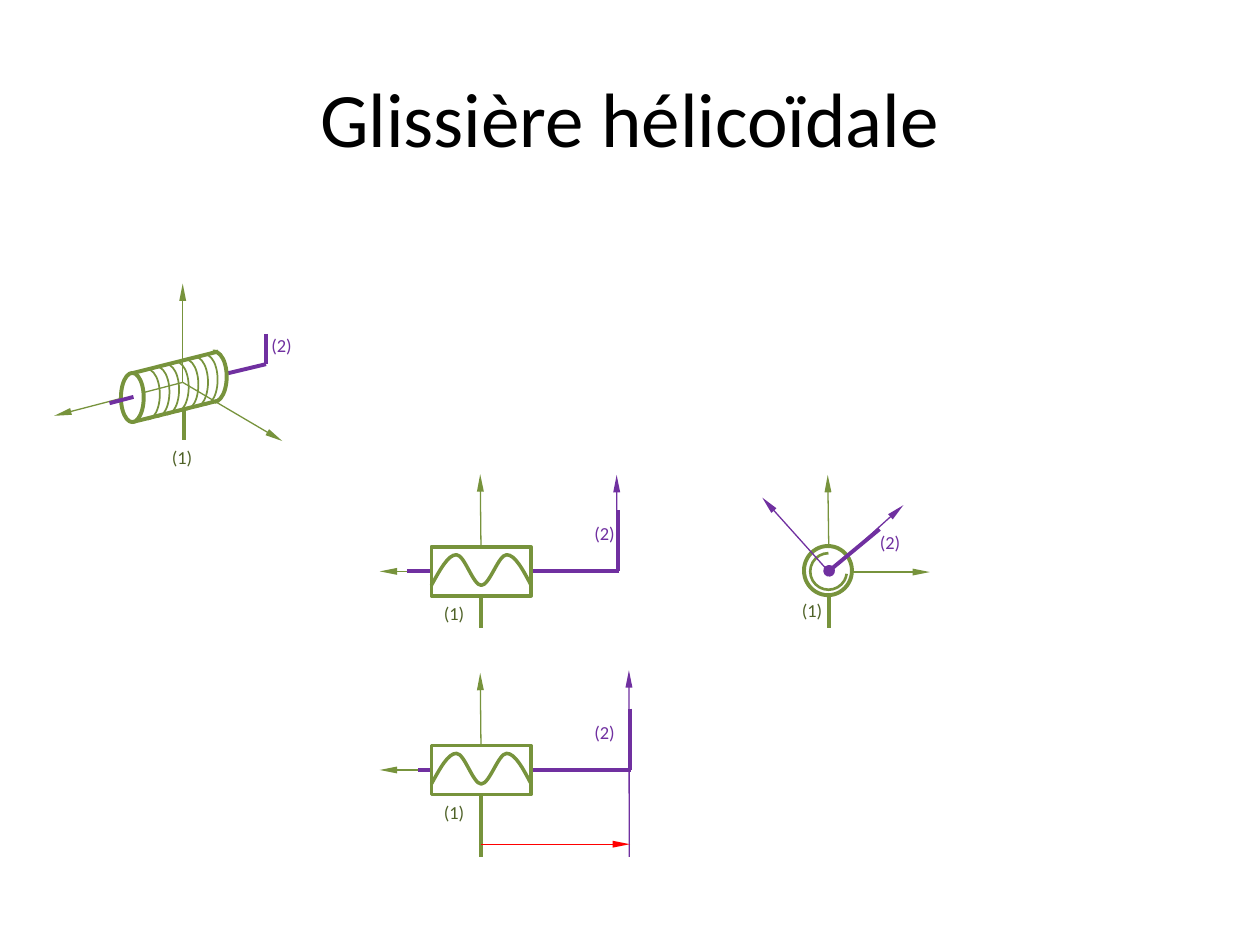
import pptx
import pptx.dml.color
import pptx.enum.shapes
import pptx.enum.text
import pptx.oxml
import pptx.oxml.ns
import pptx.util
from lxml import etree

Pt = pptx.util.Pt
qn = pptx.oxml.ns.qn
SHAPES = pptx.enum.shapes.MSO_SHAPE
GREEN, DARK_GREEN, PURPLE = "77933C", "4F6228", "7030A0"
WHITE, BLACK, RED = "FFFFFF", "000000", "FF0000"
THIN, THICK = 0.75, 2.25
HALF_TURN = (160.36, 53.32)


def rgb(color):
    return pptx.dml.color.RGBColor.from_string(color)


class Sketch:
    font = "Calibri"

    def __init__(self, slide):
        self.slide = slide
        self.shapes = slide.shapes

    def outline(self, item, color, width):
        item.line.color.rgb = rgb(color)
        item.line.width = Pt(width)

    def text(self, words, left, top, width, height, size, color):
        box = self.shapes.add_textbox(Pt(left), Pt(top), Pt(width), Pt(height))
        frame = box.text_frame
        frame.text = words
        frame.word_wrap = True
        paragraph = frame.paragraphs[0]
        paragraph.alignment = pptx.enum.text.PP_ALIGN.CENTER
        font = paragraph.runs[0].font
        font.name, font.size, font.color.rgb = self.font, Pt(size), rgb(color)
        return frame

    def title(self, words):
        frame = self.text(words, 36, 21.6, 648, 90, 44, BLACK)
        frame.vertical_anchor = pptx.enum.text.MSO_ANCHOR.MIDDLE

    def part_number(self, number, left, top):
        color = DARK_GREEN if number == 1 else PURPLE
        frame = self.text(f"({number})", left, top, 28, 21, 10.5, color)
        frame.auto_size = pptx.enum.text.MSO_AUTO_SIZE.SHAPE_TO_FIT_TEXT

    def line(self, start, end, color, width=THICK):
        link = self.shapes.add_connector(
            pptx.enum.shapes.MSO_CONNECTOR.STRAIGHT,
            Pt(start[0]), Pt(start[1]), Pt(end[0]), Pt(end[1]))
        self.outline(link, color, width)
        etree.SubElement(link._element.spPr, qn("a:effectLst"))
        return link

    def end_mark(self, link, kind, width, length):
        etree.SubElement(link.line._get_or_add_ln(), qn("a:tailEnd"),
                         type=kind, w=width, len=length)

    def arrow(self, start, end, color):
        self.end_mark(self.line(start, end, color, THIN), "triangle", "sm", "lg")

    def shape(self, kind, left, top, width, height, weight=THICK):
        item = self.shapes.add_shape(kind, Pt(left), Pt(top), Pt(width), Pt(height))
        item.shadow.inherit = False
        item.fill.solid()
        item.fill.fore_color.rgb = rgb(WHITE)
        self.outline(item, GREEN, weight)
        return item

    def arc(self, left, top, width, height, angles, weight):
        item = self.shape(SHAPES.ARC, left, top, width, height, weight)
        item.fill.background()
        item.adjustments[0], item.adjustments[1] = angles

    def curve(self, points, color, weight):
        """Draw a start point followed by triples of cubic Bézier points."""
        start, *rest = [(Pt(x), Pt(y)) for x, y in points]
        builder = self.shapes.build_freeform(*start)
        builder.add_line_segments(rest, close=False)
        item = builder.convert_to_shape()
        item.shadow.inherit = False
        item.fill.background()
        self.outline(item, color, weight)
        segments = list(item._element.iter(qn("a:lnTo")))
        outline_path = segments[0].getparent()
        for first in range(0, len(segments), 3):
            bezier = etree.SubElement(outline_path, qn("a:cubicBezTo"))
            for segment in segments[first:first + 3]:
                bezier.append(segment[0])
                outline_path.remove(segment)


def perspective_view(sketch):
    for tip in ((31, 237.6), (104.4, 162), (161.3, 252)):
        sketch.arrow((104.4, 218.5), tip, GREEN)
    sketch.line((124.6, 200.9), (76.3, 213.1), GREEN)
    sketch.line((105, 251.3), (105, 234), GREEN)
    sketch.line((124.6, 229), (75.6, 241.2), GREEN)
    sketch.shape(SHAPES.OVAL, 69.1, 213.1, 13, 28.1)
    sketch.line((76.3, 226.8), (62.6, 230.4), PURPLE)
    sketch.line((152, 208.1), (130.3, 213.3), PURPLE)
    sketch.line((152, 190.8), (152, 208.1), PURPLE)
    sketch.arc(115.2, 200.9, 14.4, 28.8, HALF_TURN, THICK)
    for turn in range(7):
        sketch.arc(77 + 5.5 * turn, 211 - 1.4 * turn, 14.4, 28.8, HALF_TURN, 1)
    sketch.part_number(2, 146.9, 187.2)
    sketch.part_number(1, 90, 251.3)


def side_view(sketch, axis, crank, rod_end, support_end, crank_start, crank_tip):
    middle, left, right = 275, 246.5, 303.5
    sketch.arrow((middle, axis), (middle - 0.6, axis - 55.5), GREEN)
    sketch.arrow((middle, axis), (217, axis), GREEN)
    sketch.line((crank, axis - 35), (crank, axis), PURPLE)
    sketch.arrow((crank - 0.4, crank_start), (crank - 0.6, crank_tip), PURPLE)
    sketch.line((crank + 0.5, axis), (rod_end, axis), PURPLE)
    nut = sketch.shape(SHAPES.RECTANGLE, left, axis - 14, right - left, 28, 2)
    support = sketch.line((middle, support_end), (middle, axis + 14), GREEN)
    support.end_connect(nut, 2)
    crest, trough = axis - 9.5, axis + 8
    sketch.curve([
        (left, trough), (251.5, axis - 1), (256, crest), (260.8, crest),
        (265.5, crest), (270.3, trough), (middle, trough),
        (279.8, trough), (284.8, crest), (289.5, crest),
        (294.3, crest), (298.8, axis - 1), (right, trough)], GREEN, 2)
    sketch.part_number(1, 245.5, axis + 14)
    sketch.part_number(2, 331.5, axis - 31.5)


def end_view(sketch):
    center = (473.8, 326.9)
    sketch.arrow(center, (473, 271.4), GREEN)
    sketch.line((473.8, 358.6), center, GREEN)
    sketch.arrow(center, (531.4, 326.9), GREEN)
    sketch.shape(SHAPES.OVAL, 459.4, 312, 27.4, 28.1)
    crank = sketch.line((502.6, 302.4), (473.8, 326.2), PURPLE)
    sketch.end_mark(crank, "oval", "med", "med")
    sketch.arc(463, 316.1, 20.9, 20.9, (4.46, 161.85), 1.5)
    for tip in ((516.2, 288.7), (435.6, 284.4)):
        sketch.arrow(center, tip, PURPLE)
    sketch.part_number(2, 494.6, 300.2)
    sketch.part_number(1, 450, 339.1)


def main():
    deck = pptx.Presentation()
    deck.slide_width, deck.slide_height = Pt(720), Pt(540)
    sketch = Sketch(deck.slides.add_slide(deck.slide_layouts[6]))
    sketch.title("Glissière hélicoïdale")
    perspective_view(sketch)
    side_view(sketch, axis=326.5, crank=353, rod_end=232.6, support_end=358.6,
              crank_start=326.5, crank_tip=271.4)
    side_view(sketch, axis=440, crank=360, rod_end=239, support_end=489.6,
              crank_start=489.6, crank_tip=383)
    sketch.arrow((275, 482.4), (360, 482.4), RED)
    end_view(sketch)
    deck.save("out.pptx")


if __name__ == "__main__":
    main()
